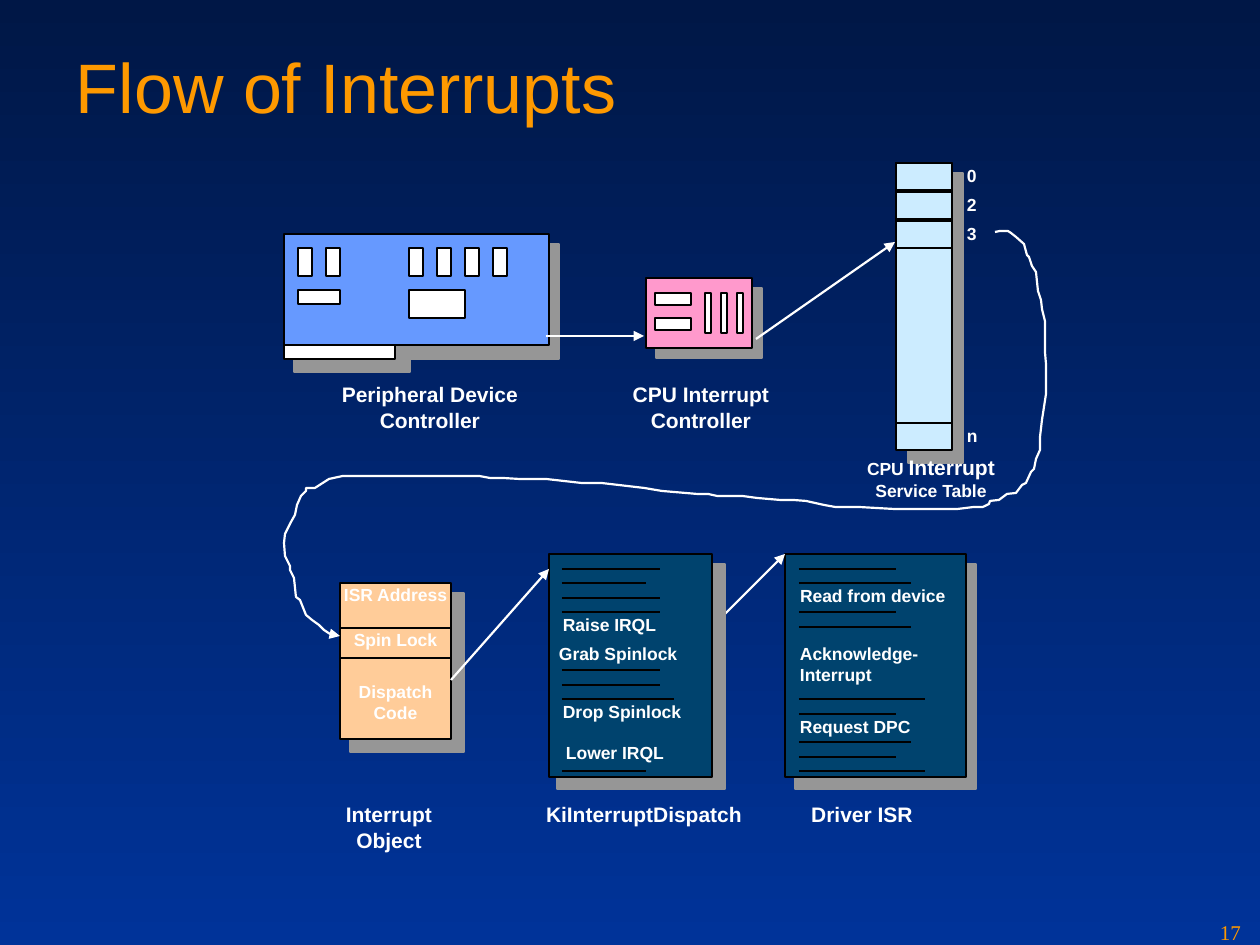
from lxml import etree
from pptx import Presentation
from pptx import util as u
from pptx.dml.color import RGBColor
from pptx.enum import shapes, text
from pptx.oxml.ns import qn

PX = 914400 / 126
WHITE, BLACK, GREY, ORANGE = "FFFFFF", "000000", "969696", "FE9900"
BLUE, PINK, PALE, PEACH, TEAL = "6699FF", "FF99CC", "CCECFF", "FFCC99", "00436E"
LEFT, CENTER = text.PP_ALIGN.LEFT, text.PP_ALIGN.CENTER

# Path from the service table entry to the interrupt object
FLOW_POINTS = [
    (995, 232), (1000, 231), (1008, 231), (1011, 233), (1016, 237), (1024, 244),
    (1027, 255), (1029, 257), (1032, 266), (1036, 272), (1038, 291), (1041, 300),
    (1042, 309), (1045, 321), (1045, 352), (1046, 364), (1046, 394), (1042, 420),
    (1040, 437), (1040, 450), (1036, 459), (1034, 469), (1031, 472), (1026, 483),
    (1022, 485), (1016, 493), (1007, 494), (999, 500), (990, 501), (989, 504),
    (983, 507), (974, 507), (958, 509), (893, 509), (858, 507), (835, 507),
    (824, 505), (806, 501), (793, 500), (780, 500), (757, 498), (742, 496),
    (717, 496), (708, 494), (697, 494), (662, 491), (644, 488), (601, 483),
    (581, 483), (546, 479), (519, 479), (503, 478), (490, 478), (479, 476),
    (343, 476), (329, 479), (315, 488), (306, 488), (306, 491), (301, 496),
    (297, 505), (295, 515), (291, 522), (285, 534), (284, 543), (285, 556),
    (290, 566), (290, 570), (294, 578), (296, 597), (300, 600), (306, 615),
    (312, 620), (319, 625), (324, 630), (330, 634), (340, 636),
]


def px(*lengths):
    return [u.Emu(round(length * PX)) for length in lengths]


def color(value):
    return RGBColor.from_string(value)


class Diagram:
    """Holds the style and the slide that is being drawn."""

    font = "Arial"
    line_width = u.Pt(1.25)

    def __init__(self, slide):
        self.slide = slide

    def background(self, top, bottom):
        fill = self.slide.background.fill
        fill.gradient()
        fill.gradient_angle = 270
        for stop, value, position in zip(fill.gradient_stops, (top, bottom), (0, 1)):
            stop.color.rgb = color(value)
            stop.position = position

    def add_text(self, shape, runs, align=LEFT, ink=WHITE, bold=True, font=None,
                 margins=(1, 1, 1, 1)):
        """Fill one paragraph from (text, point size) runs."""
        frame = shape.text_frame
        frame.word_wrap = True
        frame.auto_size = text.MSO_AUTO_SIZE.NONE
        frame.vertical_anchor = text.MSO_ANCHOR.TOP
        (frame.margin_left, frame.margin_top,
         frame.margin_right, frame.margin_bottom) = px(*margins)
        paragraph = frame.paragraphs[0]
        paragraph.alignment = align
        for words, size in runs:
            run = paragraph.add_run()
            run.text = words
            run.font.name = font or self.font
            run.font.size = u.Pt(size)
            run.font.bold = bold
            run.font.color.rgb = color(ink)

    def title(self, words, box):
        shape = self.slide.shapes.title
        shape.left, shape.top, shape.width, shape.height = px(*box)
        self.add_text(shape, [(words, 40)], ink=ORANGE, bold=False,
                      margins=(13, 14, 13, 6))

    def label(self, runs, *box, **style):
        self.add_text(self.slide.shapes.add_textbox(*px(*box)), runs, **style)

    def box(self, fill, *box, outline=BLACK):
        shape = self.slide.shapes.add_shape(shapes.MSO_SHAPE.RECTANGLE, *px(*box))
        shape.shadow.inherit = False
        shape.fill.solid()
        shape.fill.fore_color.rgb = color(fill)
        self.stroke(shape, outline)
        return shape

    def shade(self, *box):
        self.box(GREY, *box, outline=GREY)

    def stroke(self, shape, ink, arrow=False):
        shape.line.color.rgb = color(ink)
        shape.line.width = self.line_width
        if arrow:
            outline = shape.element.spPr.find(qn("a:ln"))
            etree.SubElement(outline, qn("a:tailEnd"), type="triangle")

    def line(self, *ends, ink=BLACK, arrow=False):
        connector = self.slide.shapes.add_connector(
            shapes.MSO_CONNECTOR.STRAIGHT, *px(*ends))
        self.stroke(connector, ink, arrow)
        etree.SubElement(connector.element.spPr, qn("a:effectLst"))

    def arrow(self, *ends):
        self.line(*ends, ink=WHITE, arrow=True)

    def code_lines(self, left, lines):
        """Draw lines of code given as (y, length)."""
        for y, length in lines:
            self.line(left, y, left + length, y)

    def curve(self, points):
        builder = self.slide.shapes.build_freeform(*points[0], scale=PX)
        builder.add_line_segments(points[1:], close=False)
        shape = builder.convert_to_shape()
        shape.shadow.inherit = False
        shape.fill.background()
        self.stroke(shape, WHITE, arrow=True)


def draw_device_controller(diagram):
    diagram.shade(297, 244, 262, 115)
    diagram.shade(294, 329, 116, 43)
    diagram.box(BLUE, 284, 234, 265, 111)
    diagram.box(WHITE, 284, 345, 111, 14)
    for left in (298, 326, 409, 437, 465, 493):
        diagram.box(WHITE, left, 248, 14, 28)
    diagram.box(WHITE, 298, 290, 42, 14)
    diagram.box(WHITE, 409, 290, 56, 28)
    diagram.label([("Peripheral Device Controller", 12)], 298, 381, 264, 28, align=CENTER)


def draw_interrupt_controller(diagram):
    diagram.shade(656, 288, 106, 70)
    diagram.box(PINK, 646, 278, 106, 70)
    for top in (293, 318):
        diagram.box(WHITE, 655, top, 36, 12)
    for left in (705, 721, 737):
        diagram.box(WHITE, left, 293, 6, 40)
    diagram.label([("CPU Interrupt Controller", 12)], 619, 381, 164, 57, align=CENTER)
    diagram.arrow(546, 336, 644, 336)


def draw_service_table(diagram):
    diagram.shade(908, 173, 55, 290)
    diagram.box(PALE, 896, 163, 56, 278)
    entries = [("0", 163), ("2", 192), ("3", 221), ("n", 423)]
    for _, top in entries:
        diagram.box(PALE, 896, top, 56, 27)
    diagram.label([("CPU ", 10), ("Interrupt", 12), (" Service Table", 10)],
                  854, 454, 154, 55, align=CENTER)
    diagram.arrow(756, 339, 895, 242)
    for name, top in entries:
        diagram.label([(name, 10)], 966, top + 1, 14, 27)


def draw_interrupt_object(diagram):
    diagram.shade(350, 593, 114, 159)
    for words, top, height, margin in (("ISR Address", 583, 45, 1),
                                       ("Spin Lock", 628, 30, 1),
                                       ("Dispatch Code", 658, 81, 23)):
        cell = diagram.box(PEACH, 340, top, 111, height)
        diagram.add_text(cell, [(words, 10)], align=CENTER, margins=(1, margin, 1, 1))
    diagram.curve(FLOW_POINTS)
    diagram.label([("Interrupt Object", 12)], 312, 801, 154, 28, align=CENTER)


def draw_driver_isr(diagram):
    diagram.shade(795, 564, 181, 225)
    diagram.box(TEAL, 785, 554, 181, 223)
    diagram.arrow(659, 680, 785, 554)
    for words, top, width in (("Read from device", 584, 168),
                              ("Acknowledge-Interrupt", 642, 140),
                              ("Request DPC", 715, 140)):
        diagram.label([(words, 10)], 799, top, width, 28)
    diagram.code_lines(799, [(569, 97), (583, 112), (612, 97), (627, 112), (699, 126),
                             (714, 97), (742, 112), (757, 97), (771, 126)])
    diagram.label([("Driver ISR", 12)], 785, 801, 154, 28, align=CENTER)


def draw_interrupt_dispatch(diagram):
    diagram.shade(557, 564, 168, 225)
    diagram.box(TEAL, 549, 554, 163, 223)
    diagram.code_lines(562, [(569, 98), (583, 84), (598, 98), (612, 98),
                             (670, 98), (685, 98), (699, 112), (771, 84)])
    diagram.arrow(451, 680, 549, 569)
    for words, left, top in (("Raise IRQL", 562, 613), ("Grab Spinlock", 558, 642),
                             ("Drop Spinlock", 562, 700), ("Lower IRQL", 565, 741)):
        diagram.label([(words, 10)], left, top, 140, 28)
    diagram.label([("KiInterruptDispatch", 12)], 534, 801, 220, 34, align=CENTER)


def main():
    presentation = Presentation()
    presentation.slide_width, presentation.slide_height = px(1260, 945)
    diagram = Diagram(presentation.slides.add_slide(presentation.slide_layouts[5]))
    diagram.background("001746", "003399")
    diagram.title("Flow of Interrupts", (63, 30, 1134, 158))
    draw_device_controller(diagram)
    draw_interrupt_controller(diagram)
    draw_service_table(diagram)
    draw_interrupt_object(diagram)
    draw_driver_isr(diagram)
    draw_interrupt_dispatch(diagram)
    diagram.label([("17", 12)], 1207, 914, 53, 31, ink=ORANGE, bold=False,
                  font="Times New Roman", margins=(13, 6, 13, 6))
    presentation.save("out.pptx")


if __name__ == "__main__":
    main()
